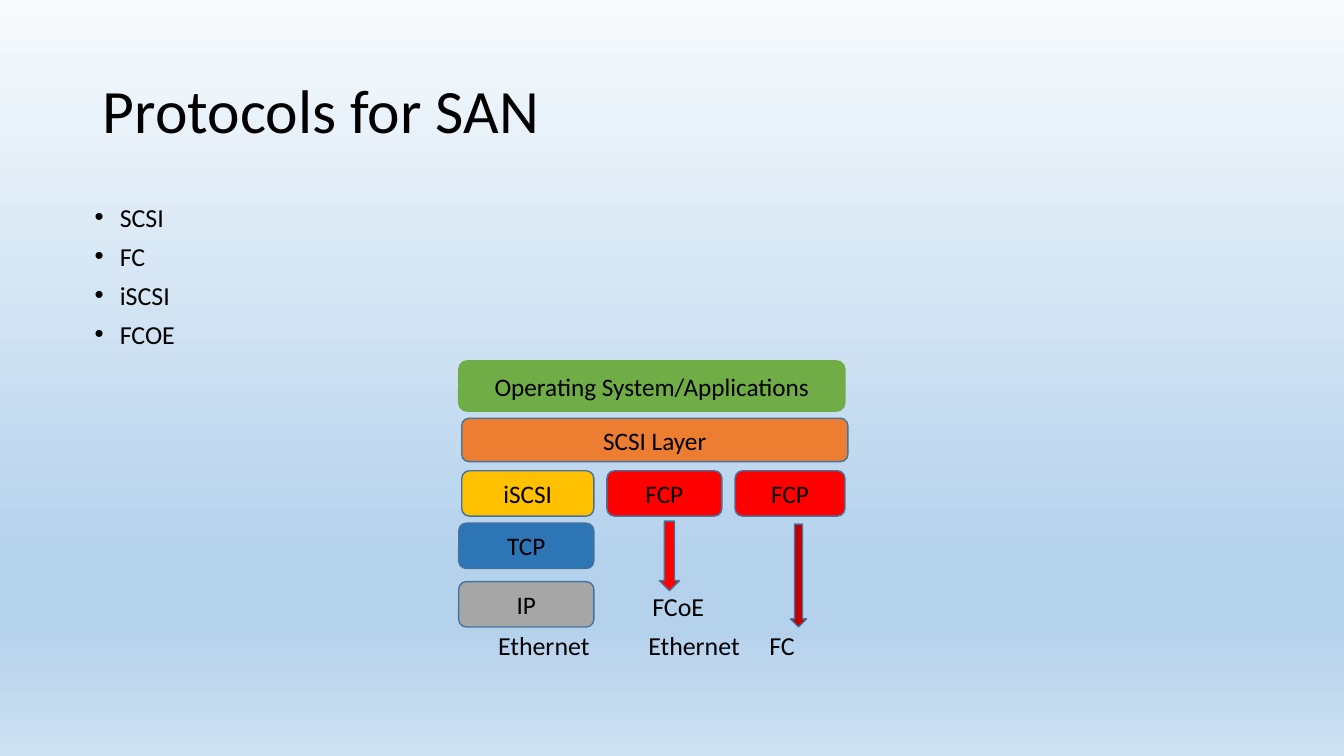
from dataclasses import dataclass

from lxml.etree import SubElement
from pptx import Presentation
from pptx.dml.color import RGBColor
from pptx.enum.shapes import MSO_SHAPE as Shape
from pptx.enum.text import MSO_ANCHOR as Anchor, PP_ALIGN as Align
from pptx.oxml.ns import qn
from pptx.util import Inches, Pt


@dataclass(frozen=True)
class Theme:
    font: str = "Calibri"
    text: str = "000000"
    outline: str = "43739E"
    green: str = "70AD47"
    orange: str = "ED7D31"
    yellow: str = "FFC000"
    red: str = "FF0000"
    dark_red: str = "C00000"
    blue: str = "2E75B6"
    gray: str = "A6A6A6"
    background: tuple = ((0, "F7FAFD"), (74, "B5D2EC"), (83, "B5D2EC"), (100, "CEE1F2"))
    title_size: float = 44
    body_size: float = 18.5
    block_size: float = 18


THEME = Theme()


def inches(*lengths):
    return [Inches(length) for length in lengths]


def style(paragraph, size, align=Align.LEFT):
    paragraph.alignment = align
    paragraph.font.name = THEME.font
    paragraph.font.size = Pt(size)
    paragraph.font.color.rgb = RGBColor.from_string(THEME.text)


def paint_background(slide):
    fill = slide.background.fill
    fill.gradient()
    fill.gradient_angle = 270
    stops = slide.element.find(".//" + qn("a:gsLst"))
    for stop in list(stops):
        stops.remove(stop)
    for percent, color in THEME.background:
        stop = SubElement(stops, qn("a:gs"), pos=str(percent * 1000))
        SubElement(stop, qn("a:srgbClr"), val=color)


def add_title(slide, text, left, top, width, height):
    title = slide.shapes.title
    title.left, title.top, title.width, title.height = inches(left, top, width, height)
    title.text_frame.text = text
    title.text_frame.vertical_anchor = Anchor.MIDDLE
    paragraph = title.text_frame.paragraphs[0]
    paragraph.line_spacing = 0.9
    style(paragraph, THEME.title_size)


def add_bullets(slide, items, left, top, width, height):
    frame = slide.shapes.add_textbox(*inches(left, top, width, height)).text_frame
    frame.word_wrap = True
    frame.text = "\n".join(items)
    for paragraph in frame.paragraphs:
        style(paragraph, THEME.body_size)
        paragraph.line_spacing = 0.8
        paragraph.space_before = Pt(10)
        properties = paragraph._p.get_or_add_pPr()
        properties.set("marL", str(Inches(0.25)))
        properties.set("indent", str(-Inches(0.25)))
        SubElement(properties, qn("a:buFont"), typeface="Arial")
        SubElement(properties, qn("a:buChar"), char="•")


def add_filled_shape(slide, kind, color, outline, box):
    shape = slide.shapes.add_shape(kind, *inches(*box))
    shape.shadow.inherit = False
    shape.fill.solid()
    shape.fill.fore_color.rgb = RGBColor.from_string(color)
    shape.line.color.rgb = RGBColor.from_string(outline)
    shape.line.width = Pt(1)
    return shape


def add_block(slide, text, color, box, outline=THEME.outline):
    frame = add_filled_shape(slide, Shape.ROUNDED_RECTANGLE, color, outline, box).text_frame
    frame.word_wrap = True
    frame.vertical_anchor = Anchor.MIDDLE
    frame.text = text
    style(frame.paragraphs[0], THEME.block_size, Align.CENTER)


def add_label(slide, text, left, top):
    frame = slide.shapes.add_textbox(*inches(left, top, 1.1, 0.3)).text_frame
    frame.margin_left = frame.margin_right = frame.margin_top = frame.margin_bottom = 0
    frame.word_wrap = True
    frame.vertical_anchor = Anchor.MIDDLE
    frame.text = text
    style(frame.paragraphs[0], THEME.body_size)


def add_protocol_stack(slide, left, top, width):
    """Draw the shared layers, then the iSCSI, FCoE and FC branches below them."""
    inner = left + 0.03
    branch_top, row = top + 1.09, 0.45
    add_block(slide, "Operating System/Applications", THEME.green,
              (left, top, width, 0.5), outline=THEME.green)
    add_block(slide, "SCSI Layer", THEME.orange, (inner, top + 0.57, width, 0.43))

    for text, color, x, block_width in (
        ("iSCSI", THEME.yellow, inner, 1.31),
        ("FCP", THEME.red, left + 1.47, 1.14),
        ("FCP", THEME.red, left + 2.74, 1.09),
    ):
        add_block(slide, text, color, (x, branch_top, block_width, row))
    for text, color, y in (("TCP", THEME.blue, 1.61), ("IP", THEME.gray, 2.19)):
        add_block(slide, text, color, (left, top + y, 1.34, row))

    for color, x, y, arrow_width, height in (
        (THEME.red, 1.99, 1.59, 0.2, 0.69),
        (THEME.dark_red, 3.29, 1.62, 0.16, 1.02),
    ):
        add_filled_shape(slide, Shape.DOWN_ARROW, color, THEME.outline,
                         (left + x, top + y, arrow_width, height))

    add_label(slide, "FCoE", left + 1.92, top + 2.28)
    for text, x in (("Ethernet", 0.39), ("Ethernet", 1.88), ("FC", 3.08)):
        add_label(slide, text, left + x, top + 2.67)


def main():
    presentation = Presentation()
    presentation.slide_width, presentation.slide_height = inches(13.33, 7.5)
    slide = presentation.slides.add_slide(presentation.slide_layouts[5])
    paint_background(slide)
    add_title(slide, "Protocols for SAN", 0.92, 0.4, 11.5, 1.45)
    add_bullets(slide, ("SCSI", "FC", "iSCSI", "FCOE"), 0.84, 2.01, 11.5, 1.55)
    add_protocol_stack(slide, 4.55, 3.58, 3.83)
    presentation.save("out.pptx")


if __name__ == "__main__":
    main()
